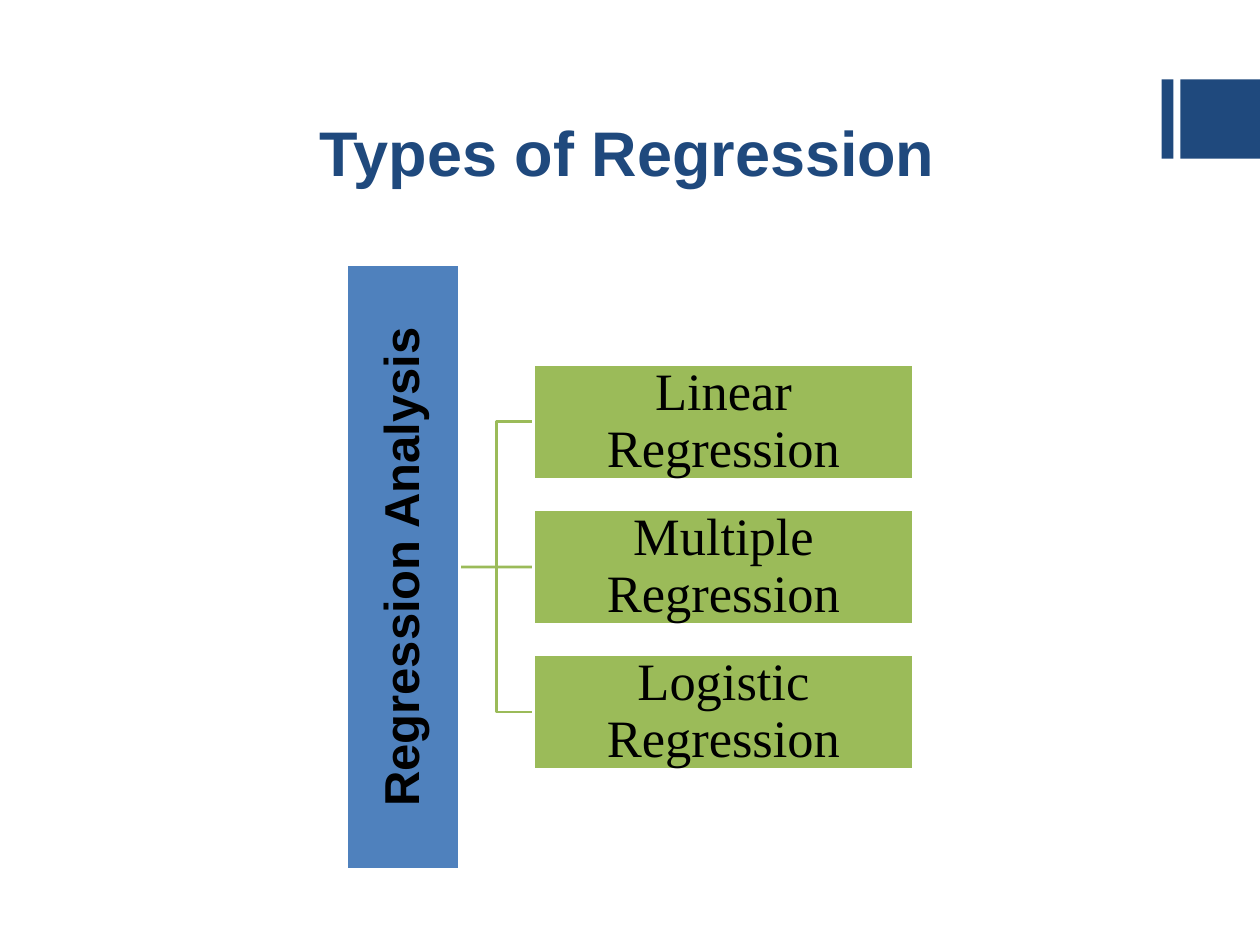
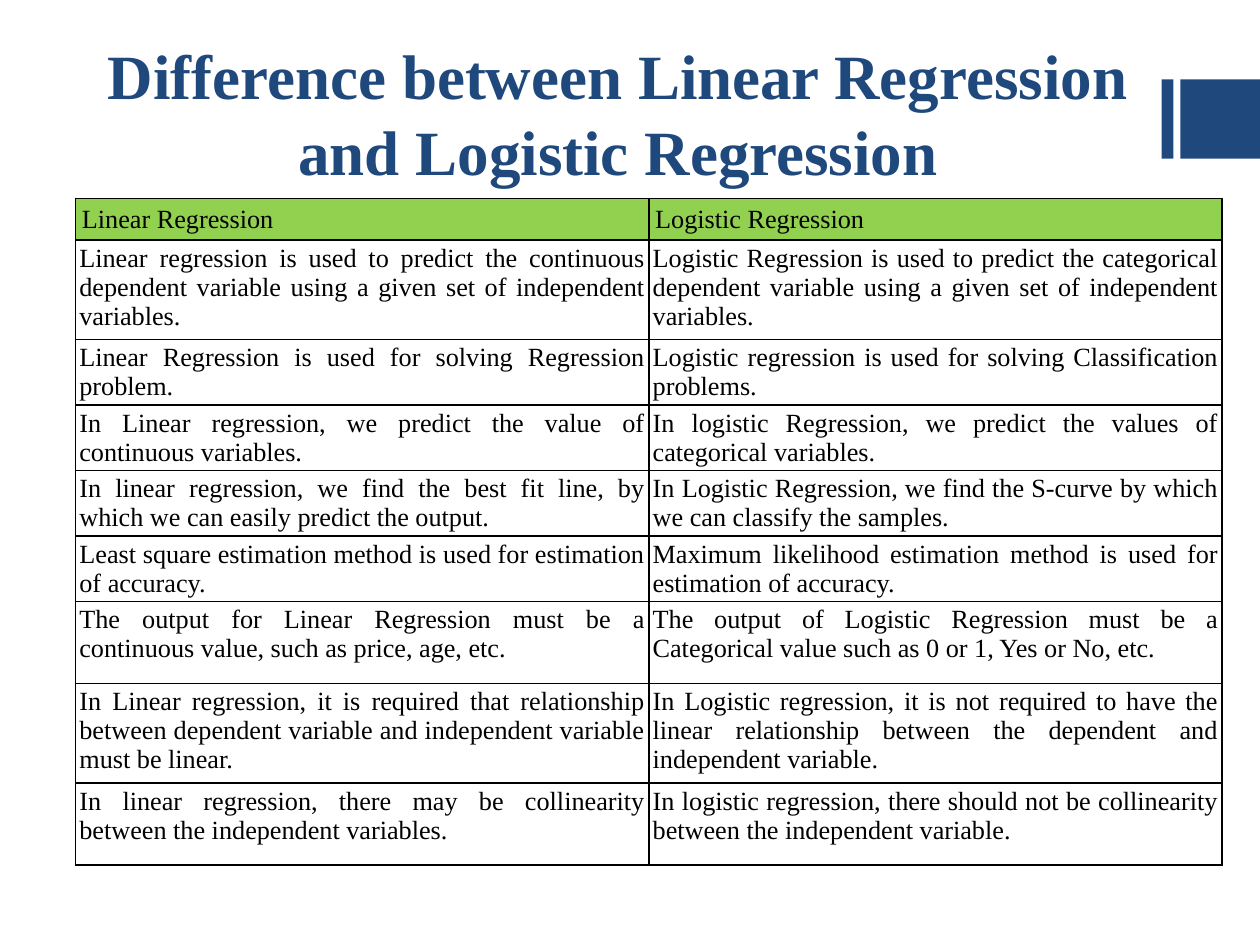
from dataclasses import dataclass

from lxml.etree import SubElement
from pptx import Presentation
from pptx.dml.color import RGBColor
from pptx.enum.shapes import MSO_CONNECTOR as Connector, MSO_SHAPE as Shape
from pptx.enum.text import MSO_ANCHOR as Anchor, MSO_AUTO_SIZE as AutoSize, PP_ALIGN as Align
from pptx.oxml import parse_xml
from pptx.oxml.ns import nsdecls, qn
from pptx.util import Inches, Pt

WIDTH, HEIGHT = 10, 7.5
SANS, SERIF = "Arial", "Times New Roman"
COLORS = {
    "navy": "1F497D", "blue": "4F81BD", "green": "9BBB59",
    "header": "92D050", "white": "FFFFFF", "black": "000000",
}
KINDS = ["Linear Regression", "Multiple Regression", "Logistic Regression"]
COMPARISON = [
    ("Linear Regression", "Logistic Regression"),
    ("Linear regression is used to predict the continuous dependent variable using a given set of independent variables.",
     "Logistic Regression is used to predict the categorical dependent variable using a given set of independent variables."),
    ("Linear Regression is used for solving Regression problem.",
     "Logistic regression is used for solving Classification problems."),
    ("In Linear regression, we predict the value of continuous variables.",
     "In logistic Regression, we predict the values of categorical variables."),
    ("In linear regression, we find the best fit line, by which we can easily predict the output.",
     "In Logistic Regression, we find the S-curve by which we can classify the samples."),
    ("Least square estimation method is used for estimation of accuracy.",
     "Maximum likelihood estimation method is used for estimation of accuracy."),
    ("The output for Linear Regression must be a continuous value, such as price, age, etc.",
     "The output of Logistic Regression must be a Categorical value such as 0 or 1, Yes or No, etc."),
    ("In Linear regression, it is required that relationship between dependent variable and independent variable must be linear.",
     "In Logistic regression, it is not required to have the linear relationship between the dependent and independent variable."),
    ("In linear regression, there may be collinearity between the independent variables.",
     "In logistic regression, there should not be collinearity between the independent variable."),
]
ROW_HEIGHTS = [0.33, 0.79] + [0.52] * 4 + [0.65, 0.79, 0.65]


@dataclass
class Box:
    left: float
    top: float
    width: float
    height: float

    def inner(self, left, top, width, height):
        """Return the inner box given by shares of this one."""
        return Box(self.left + left * self.width, self.top + top * self.height,
                   width * self.width, height * self.height)

    def lengths(self):
        return [Inches(value) for value in (self.left, self.top, self.width, self.height)]


PAGE = Box(0, 0, WIDTH, HEIGHT)


def color(name):
    return RGBColor.from_string(COLORS[name])


def write(text_frame, text, size, font_name, color_name="black", bold=False, align=Align.CENTER):
    text_frame.text = text
    paragraph = text_frame.paragraphs[0]
    paragraph.alignment = align
    font = paragraph.runs[0].font
    font.name, font.size, font.bold = font_name, Pt(size), bold
    font.color.rgb = color(color_name)
    return paragraph


def add_block(slide, box, fill, outline=None):
    shape = slide.shapes.add_shape(Shape.RECTANGLE, *box.lengths())
    shape.shadow.inherit = False
    shape.fill.solid()
    shape.fill.fore_color.rgb = color(fill)
    if outline:
        shape.line.color.rgb = color(outline)
        shape.line.width = Pt(1.5)
    else:
        shape.line.fill.background()
    return shape


def add_label_block(slide, box, fill, text, size, font_name, bold=False):
    shape = add_block(slide, box, fill, "white")
    frame = shape.text_frame
    frame.word_wrap = True
    frame.vertical_anchor = Anchor.MIDDLE
    frame.margin_left = frame.margin_right = frame.margin_top = frame.margin_bottom = Inches(0.02)
    write(frame, text, size, font_name, bold=bold).line_spacing = 0.9
    return shape


def add_titled_slide(presentation, title, box, font_name):
    slide = presentation.slides.add_slide(presentation.slide_layouts[5])
    # Corner bands
    corner = Box(9.22, 0.63, 0.78, 0.63)
    add_block(slide, corner.inner(0, 0, 0.12, 1), "navy")
    add_block(slide, corner.inner(0.19, 0, 0.81, 1), "navy")
    # Title
    placeholder = slide.shapes.title
    placeholder.left, placeholder.top, placeholder.width, placeholder.height = box.lengths()
    frame = placeholder.text_frame
    frame.auto_size = AutoSize.NONE
    frame.vertical_anchor = Anchor.BOTTOM
    write(frame, title, 36, font_name, "navy", bold=True)
    return slide


def add_branch(slide, kind):
    connector = slide.shapes.add_connector(kind, 0, 0, 0, 0)
    connector.line.color.rgb = color("green")
    connector.line.width = Pt(1.5)
    SubElement(connector._element.spPr, qn("a:effectLst"))
    return connector


def add_type_tree(slide, box, root, kinds):
    # Branches lie behind the blocks they join
    middle = len(kinds) // 2
    branches = [add_branch(slide, Connector.STRAIGHT if index == middle else Connector.ELBOW)
                for index in range(len(kinds))]

    # Root bar with upward text
    bar = add_label_block(slide, box.inner(0, 0, 0.2, 1), "blue", root, 28, SANS, bold=True)
    bar.text_frame._txBody.bodyPr.set("vert", "vert270")

    # Evenly spaced kinds, centred on the bar
    height, pitch = 0.19, 0.24
    for index, (kind, branch) in enumerate(zip(kinds, branches)):
        top = 0.5 + (index - middle) * pitch - height / 2
        block = add_label_block(slide, box.inner(0.33, top, 0.67, height), "green", kind, 30, SERIF)
        branch.begin_connect(bar, 3)
        branch.end_connect(block, 1)


def add_borders(cell):
    properties = cell._tc.get_or_add_tcPr()
    for index, side in enumerate("LRTB"):
        properties.insert(index, parse_xml(
            f'<a:ln{side} {nsdecls("a")} w="12700"><a:solidFill>'
            f'<a:srgbClr val="{COLORS["black"]}"/></a:solidFill></a:ln{side}>'))


def add_comparison(slide, box, rows, heights):
    columns = len(rows[0])
    table = slide.shapes.add_table(len(rows), columns, *box.lengths()).table
    table.first_row = table.horz_banding = False
    for column in table.columns:
        column.width = Inches(box.width / columns)
    for row_index, (texts, height) in enumerate(zip(rows, heights)):
        table.rows[row_index].height = Inches(height)
        is_header = row_index == 0
        for column_index, text in enumerate(texts):
            cell = table.cell(row_index, column_index)
            margin = Inches(0.05 if is_header else 0.03)
            cell.margin_left = cell.margin_right = cell.margin_top = cell.margin_bottom = margin
            cell.fill.solid()
            cell.fill.fore_color.rgb = color("header" if is_header else "white")
            add_borders(cell)
            write(cell.text_frame, text, 15, SERIF,
                  align=Align.LEFT if is_header else Align.JUSTIFY)


def main():
    presentation = Presentation()
    presentation.slide_width, presentation.slide_height = Inches(WIDTH), Inches(HEIGHT)

    # Types of regression
    slide = add_titled_slide(presentation, "Types of Regression", Box(0.98, 0.29, 8, 1.26), SANS)
    add_type_tree(slide, Box(2.75, 2.1, 4.5, 4.8), "Regression Analysis", KINDS)

    # Linear against logistic
    slide = add_titled_slide(
        presentation, "Difference between Linear Regression and Logistic Regression",
        Box(0.75, 0.36, 8.31, 1.18), SERIF)
    add_comparison(slide, PAGE.inner(0.06, 0.21, 0.91, sum(ROW_HEIGHTS) / HEIGHT),
                   COMPARISON, ROW_HEIGHTS)

    presentation.save("out.pptx")


if __name__ == "__main__":
    main()
